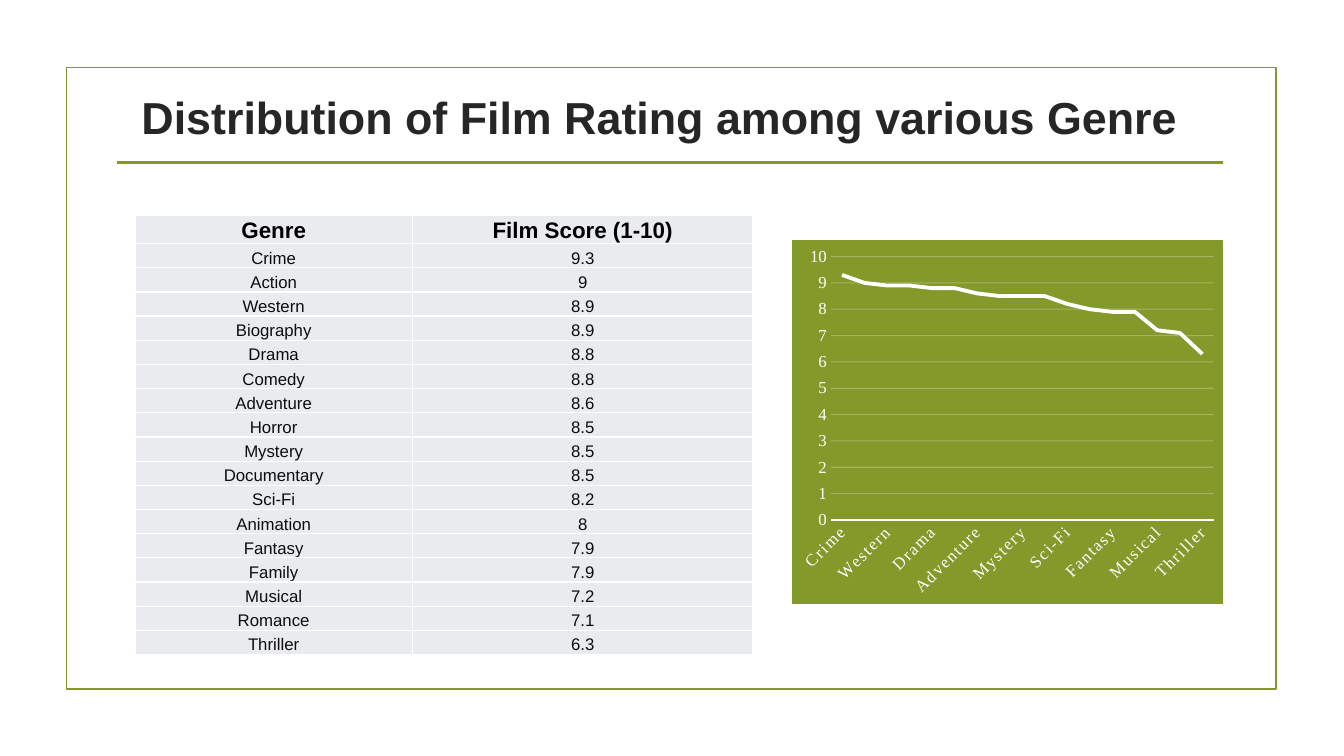
from typing import NamedTuple

import lxml.etree
import pptx
import pptx.chart.data
import pptx.dml.color
import pptx.enum.chart
import pptx.enum.shapes
import pptx.enum.text
import pptx.oxml
import pptx.oxml.ns
import pptx.util

Inches = pptx.util.Inches
Pt = pptx.util.Pt
qn = pptx.oxml.ns.qn

WIDTH, HEIGHT = 13.33, 7.5
COLS = ROWS = 100
COLORS = {
    "olive": "83992A",
    "title": "262626",
    "header": "000000",
    "body": "0D0D0D",
    "cell": "E9EBEF",
    "white": "FFFFFF",
}


class Area(NamedTuple):
    col: float
    row: float
    cols: float
    rows: float


class Rating(NamedTuple):
    genre: str
    score: float


FRAME = Area(4.95, 8.93, 90, 82.27)
TITLE = Area(4.8, 11.2, 85, 8.4)
RULE = Area(8.7, 21.47, 82.3, 0)
TABLE = Area(10.05, 28.53, 45.98, 57.6)
CHART = Area(58.95, 31.73, 32.03, 48.13)
GENRE_COLS = 20.63

RATINGS = [
    Rating("Crime", 9.3),
    Rating("Action", 9),
    Rating("Western", 8.9),
    Rating("Biography", 8.9),
    Rating("Drama", 8.8),
    Rating("Comedy", 8.8),
    Rating("Adventure", 8.6),
    Rating("Horror", 8.5),
    Rating("Mystery", 8.5),
    Rating("Documentary", 8.5),
    Rating("Sci-Fi", 8.2),
    Rating("Animation", 8),
    Rating("Fantasy", 7.9),
    Rating("Family", 7.9),
    Rating("Musical", 7.2),
    Rating("Romance", 7.1),
    Rating("Thriller", 6.3),
]


def x(cols: float) -> int:
    return Inches(WIDTH * cols / COLS)


def y(rows: float) -> int:
    return Inches(HEIGHT * rows / ROWS)


def place(area: Area) -> tuple[int, int, int, int]:
    return x(area.col), y(area.row), x(area.cols), y(area.rows)


def rgb(name: str) -> pptx.dml.color.RGBColor:
    return pptx.dml.color.RGBColor.from_string(COLORS[name])


def set_line(line, color: str, width: float) -> None:
    line.color.rgb = rgb(color)
    line.width = Pt(width)


def set_font(font, size: float, color: str, name: str, bold: bool = False) -> None:
    font.size = Pt(size)
    font.color.rgb = rgb(color)
    font.name = name
    font.bold = bold


def write_text(tf, text: str, *, size: float, color: str, bold: bool = False) -> None:
    p = tf.paragraphs[0]
    p.alignment = pptx.enum.text.PP_ALIGN.CENTER
    r = p.add_run()
    r.text = text
    set_font(r.font, size, color, "Arial", bold)


def add_frame(shapes) -> None:
    sp = shapes.add_shape(pptx.enum.shapes.MSO_SHAPE.RECTANGLE, *place(FRAME))
    sp.shadow.inherit = False
    sp.fill.background()
    set_line(sp.line, "olive", 1.25)


def add_title(shapes) -> None:
    tf = shapes.add_textbox(*place(TITLE)).text_frame
    tf.word_wrap = True
    tf.vertical_anchor = pptx.enum.text.MSO_ANCHOR.MIDDLE
    tf.margin_left = Inches(0.58)
    tf.margin_right = tf.margin_top = tf.margin_bottom = Inches(0.1)
    write_text(tf, "Distribution of Film Rating among various Genre",
               size=32, color="title", bold=True)


def add_rule(shapes) -> None:
    left, top, width, _ = place(RULE)
    cxn = shapes.add_connector(
        pptx.enum.shapes.MSO_CONNECTOR.STRAIGHT, left, top, left + width, top)
    set_line(cxn.line, "olive", 2)
    lxml.etree.SubElement(cxn._element.spPr, qn("a:effectLst"))


def format_cell(cell) -> None:
    cell.margin_left = cell.margin_right = cell.margin_top = Inches(0.01)
    cell.margin_bottom = 0
    cell.vertical_anchor = pptx.enum.text.MSO_ANCHOR.BOTTOM
    tc_pr = cell._tc.get_or_add_tcPr()
    for side in ("lnL", "lnR", "lnT", "lnB"):
        ln = lxml.etree.SubElement(tc_pr, qn(f"a:{side}"), w=str(Pt(1)))
        fill = lxml.etree.SubElement(ln, qn("a:solidFill"))
        lxml.etree.SubElement(fill, qn("a:srgbClr"), val=COLORS["white"])
    cell.fill.solid()
    cell.fill.fore_color.rgb = rgb("cell")


def add_table(shapes) -> None:
    lines = [("Genre", "Film Score (1-10)"), *RATINGS]
    table = shapes.add_table(len(lines), 2, *place(TABLE)).table
    table.first_row = table.horz_banding = False
    table.columns[0].width = x(GENRE_COLS)
    table.columns[1].width = x(TABLE.cols - GENRE_COLS)
    for i, line in enumerate(lines):
        header = i == 0
        for j, value in enumerate(line):
            cell = table.cell(i, j)
            format_cell(cell)
            write_text(cell.text_frame, str(value), size=16 if header else 12,
                       color="header" if header else "body", bold=header)


def add_chart(shapes) -> None:
    data = pptx.chart.data.CategoryChartData()
    data.categories = [rating.genre for rating in RATINGS]
    data.add_series("Series 1", [rating.score for rating in RATINGS])
    chart = shapes.add_chart(
        pptx.enum.chart.XL_CHART_TYPE.LINE_STACKED, *place(CHART), data).chart
    chart.has_legend = chart.has_title = False
    set_font(chart.font, 10, "header", "Times New Roman")

    series = chart.plots[0].series[0]
    series.smooth = False
    series.marker.style = pptx.enum.chart.XL_MARKER_STYLE.NONE
    set_line(series.format.line, "white", 2.75)
    chart.plots[0].vary_by_categories = False

    genres, scores = chart.category_axis, chart.value_axis
    for axis in (genres, scores):
        axis.major_tick_mark = axis.minor_tick_mark = pptx.enum.chart.XL_TICK_MARK.NONE
        set_font(axis.tick_labels.font, 12, "white", "Times New Roman")
    set_line(genres.format.line, "white", 1)
    labels = genres._element.find(qn("c:txPr"))
    labels.find(qn("a:bodyPr")).set("rot", str(-45 * 60000))
    labels.find(".//" + qn("a:defRPr")).set("spc", "120")

    scores.minimum_scale, scores.maximum_scale, scores.major_unit = 0, 10, 1
    scores.format.line.fill.background()
    set_line(scores.major_gridlines.format.line, "white", 0.75)
    grid = scores._element.find(qn("c:majorGridlines"))
    lxml.etree.SubElement(grid.find(".//" + qn("a:srgbClr")), qn("a:alpha"), val="25000")

    fill = f'<a:solidFill><a:srgbClr val="{COLORS["olive"]}"/></a:solidFill>'
    background = pptx.oxml.parse_xml(
        f'<c:spPr {pptx.oxml.ns.nsdecls("c", "a")}>{fill}'
        f'<a:ln w="{Pt(0.75)}">{fill}</a:ln></c:spPr>')
    chart._chartSpace.find(qn("c:txPr")).addprevious(background)


def main() -> None:
    prs = pptx.Presentation()
    prs.slide_width, prs.slide_height = Inches(WIDTH), Inches(HEIGHT)
    shapes = prs.slides.add_slide(prs.slide_layouts[6]).shapes
    for draw in (add_frame, add_title, add_table, add_chart, add_rule):
        draw(shapes)
    prs.save("out.pptx")


if __name__ == "__main__":
    main()
